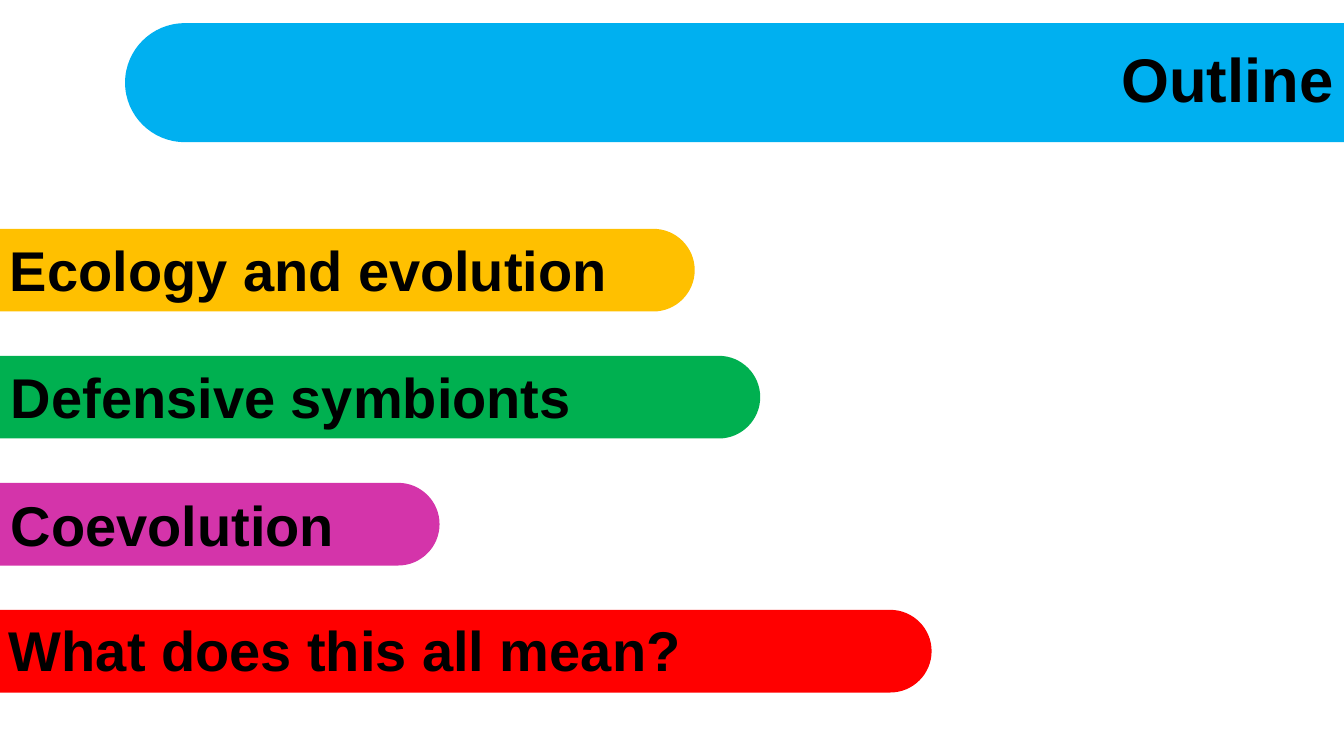
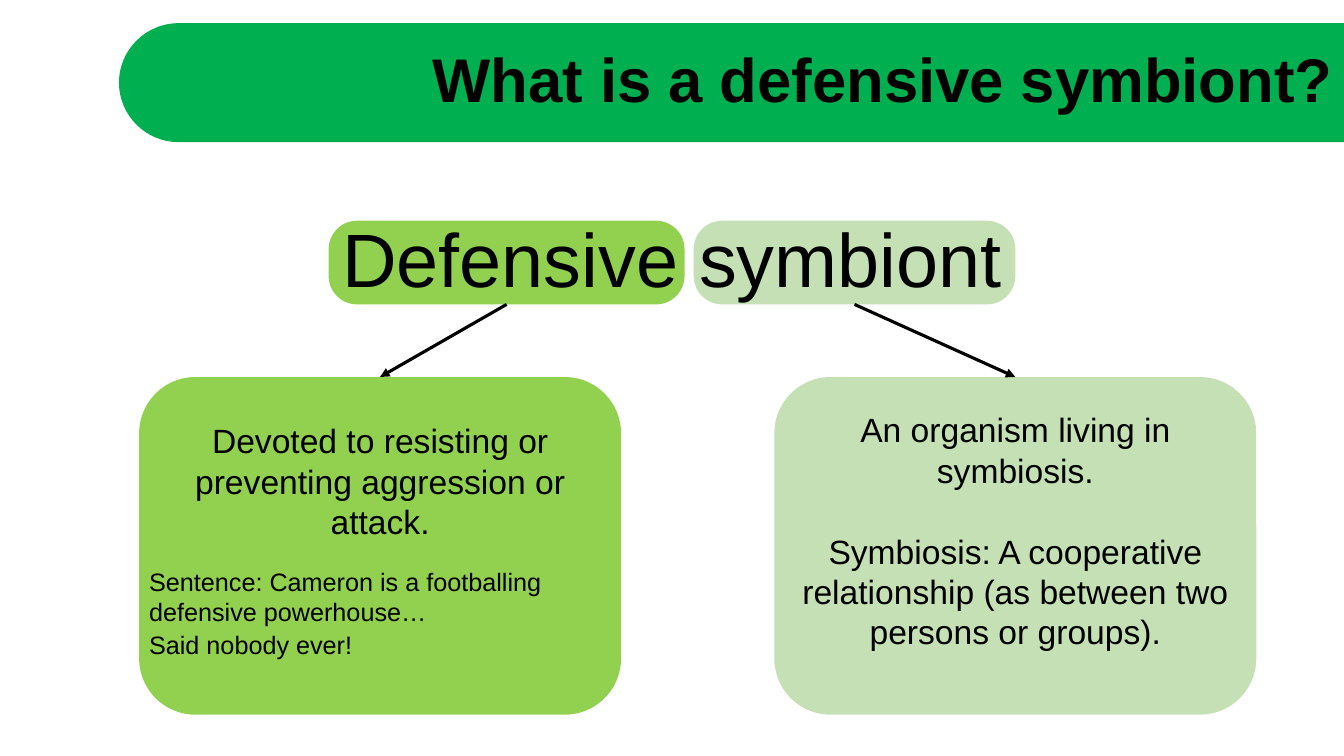
"""Build two slides on defensive symbionts, with rounded bands and cards."""
import dataclasses
import math

import lxml.etree
import pptx
import pptx.dml.color
import pptx.enum.shapes
import pptx.enum.text
import pptx.oxml.ns
import pptx.util

Inches = pptx.util.Inches
Pt = pptx.util.Pt
Align = pptx.enum.text.PP_ALIGN
Anchor = pptx.enum.text.MSO_ANCHOR
Fit = pptx.enum.text.MSO_AUTO_SIZE
tag = pptx.oxml.ns.qn

WIDE, HIGH = 13.33, 7.5
HUES = {
    "black": "000000",
    "blue": "00B0F0",
    "gold": "FFC000",
    "green": "00B050",
    "pink": "D434AA",
    "red": "FF0000",
    "lime": "92D050",
    "sage": "C5E0B4",
}
HEAD = {"name": "Arial", "size": Pt(44), "bold": True}
ITEM = {"name": "Arial", "size": Pt(40), "bold": True}
TERM = {"name": "Arial", "size": Pt(54), "bold": False}
BODY = {"name": "Arial", "size": Pt(24), "bold": False}
NOTE = {"name": "Arial", "size": Pt(18), "bold": False}


@dataclasses.dataclass(frozen=True)
class Item:
    text: str
    hue: str
    tip: float
    left: float
    top: float
    width: float


@dataclasses.dataclass(frozen=True)
class Para:
    text: str
    form: dict
    align: Align = Align.CENTER
    gap: float = 0


@dataclasses.dataclass(frozen=True)
class Block:
    top: float
    width: float
    height: float
    paras: tuple


@dataclasses.dataclass(frozen=True)
class Part:
    hue: str
    left: float
    width: float
    card: float
    blocks: tuple


ITEMS = (
    Item("Ecology and evolution", "gold", 6.89, 0, 2.29, 6.18),
    Item("Defensive symbionts", "green", 7.54, 0.01, 3.55, 5.81),
    Item("Coevolution", "pink", 4.36, 0.01, 4.82, 3.44),
    Item("What does this all mean?", "red", 9.24, -0.01, 6.06, 6.93),
)
PARTS = (
    Part("lime", 3.26, 3.53, 1.38, (
        Block(4.12, 4.78, 1.31, (
            Para("Devoted to resisting or preventing aggression or attack.",
                 BODY),)),
        Block(5.57, 4.68, 0.71, (
            Para("Sentence: Cameron is a footballing defensive powerhouse…",
                 NOTE, Align.LEFT),)),
        Block(6.19, 4.68, 0.4, (
            Para("Said nobody ever!", NOTE, Align.LEFT),)),
    )),
    Part("sage", 6.88, 3.19, 7.68, (
        Block(4.01, 4.78, 2.52, (
            Para("An organism living in symbiosis.", BODY),
            Para("Symbiosis: A cooperative relationship "
                 "(as between two persons or groups).", BODY, gap=29),)),
    )),
)


def tint(name: str) -> pptx.dml.color.RGBColor:
    return pptx.dml.color.RGBColor.from_string(HUES[name])


def paint(shape, hue: str) -> None:
    shape.shadow.inherit = False
    shape.fill.solid()
    shape.fill.fore_color.rgb = tint(hue)
    shape.line.fill.background()


def write(frame, paras: tuple, wrap: bool, fit: Fit) -> None:
    frame.word_wrap = wrap
    frame.auto_size = fit
    for num, para in enumerate(paras):
        line = frame.paragraphs[0] if num == 0 else frame.add_paragraph()
        line.alignment = para.align
        if para.gap:
            line.space_before = Pt(para.gap)
        run = line.add_run()
        run.text = para.text
        for key, value in para.form.items():
            setattr(run.font, key, value)
        run.font.color.rgb = tint("black")


def place(shape, left: float, top: float, width: float, height: float) -> None:
    spot = {"left": left, "top": top, "width": width, "height": height}
    for key, value in spot.items():
        setattr(shape, key, Inches(value))


def bend(shape, index: int, grips: tuple) -> None:
    """Turn one line of the outline into a curve with two grips."""
    line = list(shape.element.iter(tag("a:lnTo")))[index]
    curve = lxml.etree.Element(tag("a:cubicBezTo"))
    for across, down in grips:
        lxml.etree.SubElement(
            curve, tag("a:pt"), x=str(Inches(across) - shape.left),
            y=str(Inches(down) - shape.top))
    curve.append(line[0])
    line.getparent().replace(line, curve)


def band(slide, hue: str, flat: float, tip: float, top: float, height: float):
    """Draw a bar with a square end at flat and a round end at tip."""
    rad = height / 2
    turn = tip - math.copysign(rad, tip - flat)
    near = turn + (tip - turn) * 0.55
    mid, low, pull = top + rad, top + height, rad * 0.55
    spots = ((turn, top), (tip, mid), (turn, low), (flat, low))
    path = slide.shapes.build_freeform(Inches(flat), Inches(top))
    path.add_line_segments([(Inches(x), Inches(y)) for x, y in spots])
    shape = path.convert_to_shape()
    bend(shape, 2, ((tip, mid + pull), (near, low)))
    bend(shape, 1, ((near, top), (tip, mid - pull)))
    paint(shape, hue)
    return shape


def start(deck, text: str, hue: str, tip: float):
    slide = deck.slides.add_slide(deck.slide_layouts[5])
    bar = band(slide, hue, WIDE, tip, 0.23, 1.18)
    title = slide.shapes.title
    bar.element.addnext(title.element)
    place(title, 1.53, 0.09, 11.8, 1.45)
    frame = title.text_frame
    write(frame, (Para(text, HEAD, Align.RIGHT),), True, Fit.NONE)
    frame.vertical_anchor = Anchor.MIDDLE
    frame.paragraphs[0].line_spacing = 0.9
    return slide


def box(slide, hue: str, left: float, top: float, width: float,
        height: float):
    kind = pptx.enum.shapes.MSO_SHAPE.ROUNDED_RECTANGLE
    shape = slide.shapes.add_shape(
        kind, Inches(left), Inches(top), Inches(width), Inches(height))
    paint(shape, hue)
    return shape


def label(slide, left: float, top: float, width: float, height: float,
          paras: tuple, wrap: bool = True) -> None:
    shape = slide.shapes.add_textbox(
        Inches(left), Inches(top), Inches(width), Inches(height))
    write(shape.text_frame, paras, wrap, Fit.SHAPE_TO_FIT_TEXT)


def arrow(slide, above, below) -> None:
    kind = pptx.enum.shapes.MSO_CONNECTOR.STRAIGHT
    line = slide.shapes.add_connector(kind, 0, 0, 0, 0)
    line.begin_connect(above, 2)
    line.end_connect(below, 0)
    line.line.color.rgb = tint("black")
    line.line.width = Pt(2.25)
    stroke = line.element.spPr.find(tag("a:ln"))
    lxml.etree.SubElement(stroke, tag("a:tailEnd"), type="triangle")
    lxml.etree.SubElement(line.element.spPr, tag("a:effectLst"))


def outline(deck) -> None:
    slide = start(deck, "Outline", "blue", 1.24)
    for row, item in enumerate(ITEMS):
        band(slide, item.hue, 0, item.tip, 2.27 + 1.26 * row, 0.82)
        label(slide, item.left, item.top, item.width, 0.77,
              (Para(item.text, ITEM, Align.LEFT),), wrap=False)


def define(deck) -> None:
    slide = start(deck, "What is a defensive symbiont?", "green", 1.18)
    for part in PARTS:
        pill = box(slide, part.hue, part.left, 2.19, part.width, 0.83)
        pill.adjustments[0] = 0.34
        card = box(slide, part.hue, part.card, 3.74, 4.78, 3.35)
        arrow(slide, pill, card)
        for block in part.blocks:
            label(slide, part.card, block.top, block.width, block.height,
                  block.paras)
    label(slide, 3.26, 2.05, 6.81, 1.01,
          (Para("Defensive symbiont", TERM),), wrap=False)


def main() -> None:
    deck = pptx.Presentation()
    deck.slide_width = Inches(WIDE)
    deck.slide_height = Inches(HIGH)
    outline(deck)
    define(deck)
    deck.save("out.pptx")


if __name__ == "__main__":
    main()
